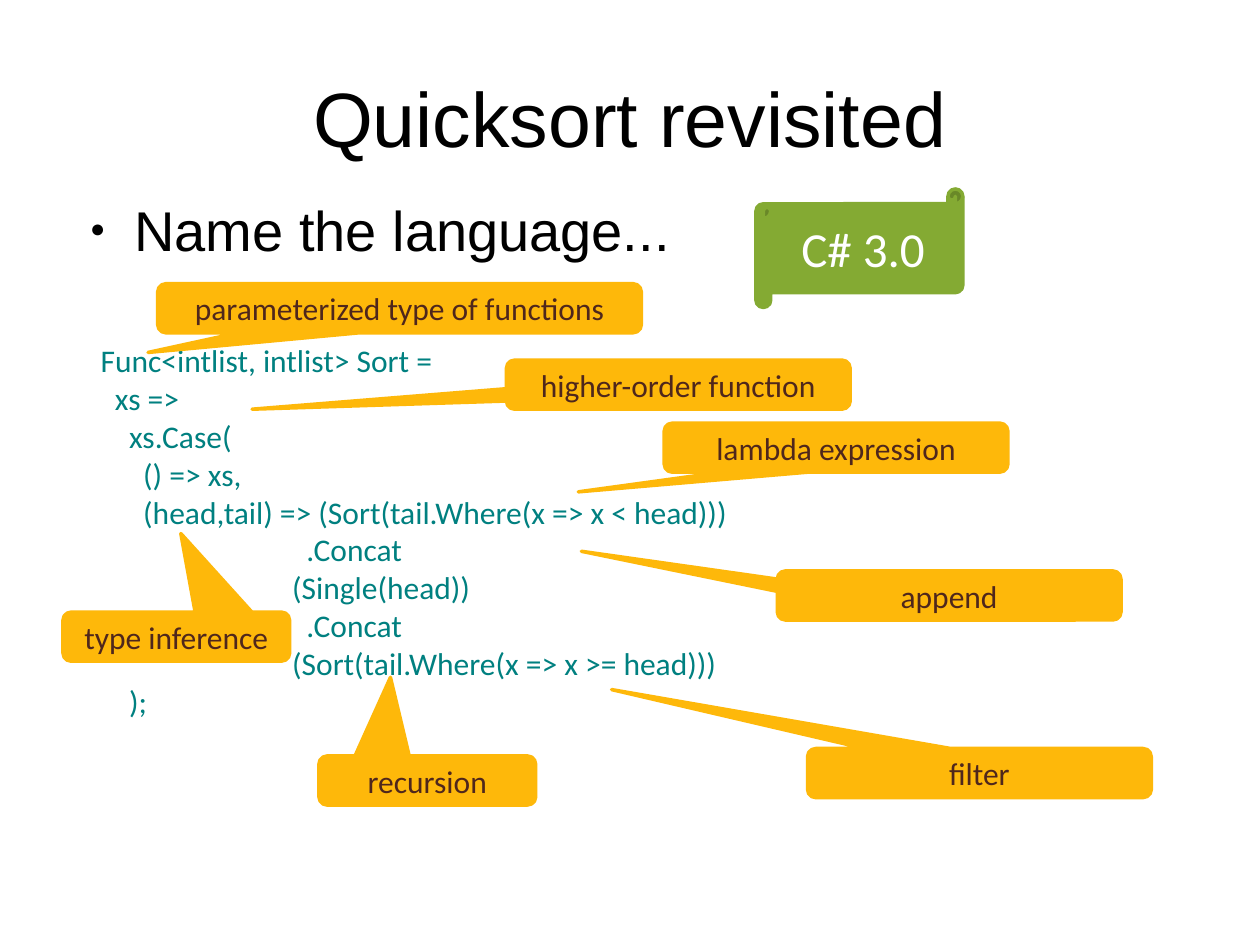
from dataclasses import dataclass

from lxml import etree
from pptx import Presentation
from pptx.dml.color import RGBColor
from pptx.enum.shapes import MSO_SHAPE
from pptx.enum.text import MSO_ANCHOR, PP_ALIGN
from pptx.oxml.ns import qn
from pptx.util import Cm, Pt

SCROLL = MSO_SHAPE.HORIZONTAL_SCROLL
CALLOUT = MSO_SHAPE.ROUNDED_RECTANGULAR_CALLOUT
MIDDLE, TOP = MSO_ANCHOR.MIDDLE, MSO_ANCHOR.TOP
CENTER, LEFT = PP_ALIGN.CENTER, PP_ALIGN.LEFT


@dataclass(frozen=True)
class Theme:
    black: str = "000000"
    white: str = "FFFFFF"
    teal: str = "008080"
    green: str = "84AA33"
    amber: str = "FEB80A"
    brown: str = "4F271C"
    head: str = "Arial"
    body: str = "Calibri"
    title: int = 44
    point: int = 32
    badge: int = 28
    text: int = 18


@dataclass(frozen=True)
class Box:
    """Left, top, width and height in centimetres."""
    left: float
    top: float
    width: float
    height: float

    def place(self) -> tuple:
        return Cm(self.left), Cm(self.top), Cm(self.width), Cm(self.height)


@dataclass(frozen=True)
class Font:
    face: str
    size: int
    color: str


@dataclass(frozen=True)
class Note:
    """A callout; its tip is an offset from the centre in box widths and heights."""
    text: str
    left: float
    top: float
    width: float
    tip: tuple[float, float]


THEME = Theme()
NOTE_HIGH = 0.99
WIDE = 6.93
STEP = 0.143  # indent of one code column, in cm

# Code lines with their indent in columns
CODE = [
    (0, "Func<intlist, intlist> Sort ="),
    (2, "xs =>"),
    (4, "xs.Case("),
    (6, "() => xs,"),
    (6, "(head,tail) => (Sort(tail.Where(x => x < head)))"),
    (29, ".Concat"),
    (27, "(Single(head))"),
    (29, ".Concat"),
    (27, "(Sort(tail.Where(x => x >= head)))"),
    (4, ");"),
]

NOTES = [
    Note("type inference", 1.27, 12.34, 4.57, (0.02, -2.1)),
    Note("append", 15.67, 11.51, WIDE, (-1.07, -0.9)),
    Note("higher-order function", 10.21, 7.26, WIDE, (-1.24, 0.5)),
    Note("parameterized type of functions", 3.18, 5.72, 9.75, (-0.52, 0.9)),
    Note("recursion", 6.43, 15.24, 4.37, (-0.17, -2.1)),
    Note("filter", 16.28, 15.09, WIDE, (-1.07, -1.7)),
    Note("lambda expression", 13.39, 8.53, WIDE, (-0.75, 0.9)),
]


def write(para, text: str, font: Font, align=LEFT) -> None:
    para.alignment = align
    run = para.add_run()
    run.text = text
    run.font.name = font.face
    run.font.size = Pt(font.size)
    run.font.color.rgb = RGBColor.from_string(font.color)


def add_text(slide, box: Box, anchor=TOP):
    frame = slide.shapes.add_textbox(*box.place()).text_frame
    frame.word_wrap = True
    frame.vertical_anchor = anchor
    return frame


def add_label(slide, kind, box: Box, color: str, text: str, font: Font):
    shape = slide.shapes.add_shape(kind, *box.place())
    shape.shadow.inherit = False
    shape.fill.solid()
    shape.fill.fore_color.rgb = RGBColor.from_string(color)
    shape.line.color.rgb = RGBColor.from_string(color)
    shape.line.width = Pt(2)
    frame = shape.text_frame
    frame.word_wrap = True
    frame.vertical_anchor = MIDDLE
    write(frame.paragraphs[0], text, font, CENTER)
    return shape


def add_note(slide, note: Note) -> None:
    box = Box(note.left, note.top, note.width, NOTE_HIGH)
    font = Font(THEME.body, THEME.text, THEME.brown)
    shape = add_label(slide, CALLOUT, box, THEME.amber, note.text, font)
    shape.adjustments[0], shape.adjustments[1] = note.tip


def indent(para, left: float, first: float = 0):
    props = para._p.get_or_add_pPr()
    props.set("marL", str(Cm(left)))
    props.set("indent", str(Cm(first)))
    return props


def add_bullet(para) -> None:
    props = indent(para, 1.19, -0.89)
    color = etree.SubElement(props, qn("a:buClr"))
    etree.SubElement(color, qn("a:srgbClr"), val=THEME.black)
    etree.SubElement(props, qn("a:buSzPct"), val="45000")
    etree.SubElement(props, qn("a:buFont"), typeface=THEME.head)
    etree.SubElement(props, qn("a:buChar"), char="●")


def main() -> None:
    deck = Presentation()
    deck.slide_width, deck.slide_height = Cm(25.4), Cm(19.05)
    slide = deck.slides.add_slide(deck.slide_layouts[6])

    # Title
    frame = add_text(slide, Box(1.27, 0.64, 22.86, 3.43), MIDDLE)
    font = Font(THEME.head, THEME.title, THEME.black)
    write(frame.paragraphs[0], "Quicksort revisited", font, CENTER)

    # Code
    frame = add_text(slide, Box(1.78, 6.76, 20.24, 7.87))
    font = Font(THEME.body, THEME.text, THEME.teal)
    for row, (cols, text) in enumerate(CODE):
        para = frame.add_paragraph() if row else frame.paragraphs[0]
        indent(para, cols * STEP)
        write(para, text, font)

    # Bullet point
    frame = add_text(slide, Box(1.27, 3.81, 22.86, 13.49))
    para = frame.paragraphs[0]
    para.space_before = Pt(6)
    add_bullet(para)
    write(para, "Name the language...", Font(THEME.head, THEME.point, THEME.black))

    # Language badge
    font = Font(THEME.body, THEME.badge, THEME.white)
    add_label(slide, SCROLL, Box(15.24, 3.81, 4.17, 2.39), THEME.green, "C# 3.0", font)

    # Callouts
    for note in NOTES:
        add_note(slide, note)

    deck.save("out.pptx")


if __name__ == "__main__":
    main()
